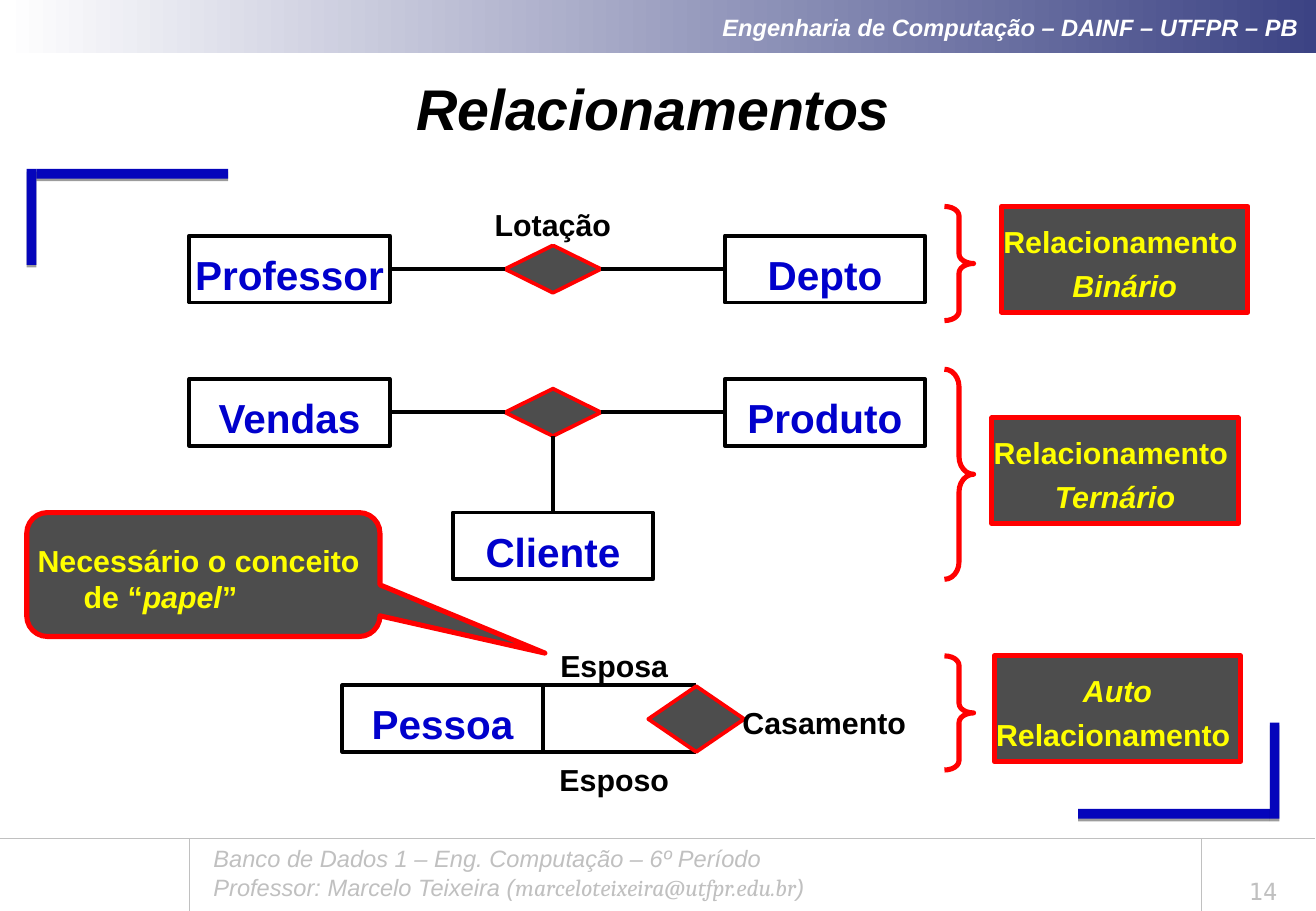
from lxml import etree
from pptx import Presentation
from pptx.dml.color import RGBColor
from pptx.enum.shapes import MSO_CONNECTOR, MSO_SHAPE
from pptx.enum.text import MSO_ANCHOR, PP_ALIGN
from pptx.oxml import parse_xml
from pptx.oxml.ns import qn
from pptx.util import Inches, Pt

RECT, DIAMOND, BRACE = MSO_SHAPE.RECTANGLE, MSO_SHAPE.DIAMOND, MSO_SHAPE.RIGHT_BRACE
CALLOUT = MSO_SHAPE.ROUNDED_RECTANGULAR_CALLOUT
STRAIGHT = MSO_CONNECTOR.STRAIGHT
LEFT, CENTER, RIGHT = PP_ALIGN.LEFT, PP_ALIGN.CENTER, PP_ALIGN.RIGHT
TOP, MIDDLE, BOTTOM = MSO_ANCHOR.TOP, MSO_ANCHOR.MIDDLE, MSO_ANCHOR.BOTTOM
WHITE = RGBColor(0xFF, 0xFF, 0xFF)
BLACK = RGBColor(0x00, 0x00, 0x00)
NAVY = RGBColor(0x3C, 0x43, 0x84)
BAR_BLUE = RGBColor(0x05, 0x05, 0xBB)
ENTITY_BLUE = RGBColor(0x00, 0x00, 0xCC)
SILVER = RGBColor(0xC0, 0xC0, 0xC0)
CHARCOAL = RGBColor(0x4D, 0x4D, 0x4D)
RED = RGBColor(0xFF, 0x00, 0x00)
YELLOW = RGBColor(0xFF, 0xFF, 0x00)
BAR_SHADOW = (
    '<a:effectLst xmlns:a="http://schemas.openxmlformats.org/drawingml/2006/main">'
    '<a:outerShdw dist="20320" dir="5400000" rotWithShape="0">'
    '<a:srgbClr val="000000"><a:alpha val="38000"/></a:srgbClr>'
    '</a:outerShdw></a:effectLst>'
)

prs = Presentation()
prs.slide_width, prs.slide_height = Inches(10.84), Inches(7.5)
slide = prs.slides.add_slide(prs.slide_layouts[6])
shapes = slide.shapes


def draw(kind, at, fill=None, outline=None, weight=2.25):
    shape = shapes.add_shape(kind, *map(Inches, at))
    shape.shadow.inherit = False
    if fill is None:
        shape.fill.background()
    else:
        shape.fill.solid()
        shape.fill.fore_color.rgb = fill
    if outline is None:
        shape.line.fill.background()
    else:
        shape.line.color.rgb = outline
        shape.line.width = Pt(weight)
    return shape


def write(shape, paragraphs, size, color, align=CENTER, anchor=MIDDLE,
          bold=True, wrap=True, inset=None, drop=0, gap=0):
    frame = shape.text_frame
    frame.word_wrap = wrap
    frame.vertical_anchor = anchor
    if inset is not None:
        frame.margin_left = frame.margin_right = frame.margin_bottom = Inches(inset)
        frame.margin_top = Inches(inset + drop)
    for index, runs in enumerate(paragraphs):
        paragraph = frame.add_paragraph() if index else frame.paragraphs[0]
        paragraph.alignment = align
        if index and gap:
            paragraph.space_before = Pt(gap)
        for text, italic, typeface in runs:
            run = paragraph.add_run()
            run.text = text
            run.font.name = typeface
            run.font.size = Pt(size)
            run.font.bold = bold
            run.font.italic = italic
            run.font.color.rgb = color


header = draw(RECT, (0.02, 0, 10.83, 0.44), WHITE)
header.fill.gradient()
header.fill.gradient_angle = 0
for stop, position, color in zip(header.fill.gradient_stops, (0, 1), (WHITE, NAVY)):
    stop.position = position
    stop.color.rgb = color
write(header, [[("Engenharia de Computação – DAINF – UTFPR – PB ", True, "Arial")]],
      14, WHITE, RIGHT)

for bar_at in ((8.88, 6.66, 1.58, 0.08), (10.46, 5.95, 0.08, 0.79),
               (0.3, 1.39, 1.58, 0.08), (0.22, 1.39, 0.08, 0.79)):
    properties = draw(RECT, bar_at, BAR_BLUE)._element.spPr
    properties.replace(properties.find(qn("a:effectLst")), parse_xml(BAR_SHADOW))

footer = [
    [("Banco de Dados 1 – Eng. Computação – 6º Período", True, "Arial")],
    [("Professor: Marcelo Teixeira (", True, "Arial"),
     ("marceloteixeira@utfpr.edu.br", True, "Cambria"), (")", True, "Arial")],
]
page_number = [[("14", False, "DejaVu Sans Mono")]]
title = [[("Relacionamentos", True, "Arial")]]
for at, paragraphs, size, color, align, anchor, bold in (
    ((1.66, 6.9, 7.54, 0.57), footer, 14, SILVER, LEFT, TOP, False),
    ((9.97, 7.11, 0.87, 0.39), page_number, 14, SILVER, CENTER, BOTTOM, False),
    ((0.22, 0.54, 10.32, 0.69), title, 34, BLACK, CENTER, MIDDLE, True),
):
    write(shapes.add_textbox(*map(Inches, at)), paragraphs, size, color, align, anchor, bold)

entities = {}
for name, left, top in (("Professor", 1.56, 1.94), ("Depto", 5.97, 1.94),
                        ("Vendas", 1.56, 3.12), ("Produto", 5.97, 3.12),
                        ("Cliente", 3.73, 4.22), ("Pessoa", 2.82, 5.64)):
    entities[name] = draw(RECT, (left, top, 1.65, 0.55), WHITE, BLACK)
    write(entities[name], [[(name, False, "Arial")]], 24, ENTITY_BLUE,
          wrap=False, inset=0.04, drop=0.08)

binary = draw(DIAMOND, (4.16, 2.02, 0.79, 0.39), CHARCOAL, RED)
ternary = draw(DIAMOND, (4.16, 3.2, 0.79, 0.39), CHARCOAL, RED)

for start, end, color, weight in (
    ((1.56, 6.9), (1.56, 7.5), SILVER, 0.75),
    ((9.9, 6.9), (9.9, 7.5), SILVER, 0.75),
    ((0, 6.9), (10.83, 6.9), SILVER, 0.25),
    ((4.47, 5.64), (5.73, 5.64), BLACK, 2.25),
    ((4.47, 6.19), (5.73, 6.19), BLACK, 2.25),
    ((entities["Professor"], 3), (binary, 1), BLACK, 2.25),
    ((binary, 3), (entities["Depto"], 1), BLACK, 2.25),
    ((entities["Vendas"], 3), (ternary, 1), BLACK, 2.25),
    ((ternary, 3), (entities["Produto"], 1), BLACK, 2.25),
    ((ternary, 2), (entities["Cliente"], 0), BLACK, 2.25),
):
    joined = start[0] in (binary, ternary, *entities.values())
    ends = (0, 0, 0, 0) if joined else (*start, *end)
    link = shapes.add_connector(STRAIGHT, *map(Inches, ends))
    if joined:
        link.begin_connect(*start)
        link.end_connect(*end)
    link.line.color.rgb = color
    link.line.width = Pt(weight)
    etree.SubElement(link._element.spPr, qn("a:effectLst"))

draw(DIAMOND, (5.34, 5.65, 0.79, 0.54), CHARCOAL, RED)

for label, at, fill in (("Lotação", (4.16, 1.62, 0.79, 0.39), WHITE),
                        ("Casamento", (6.2, 5.72, 1.18, 0.39), WHITE),
                        ("Esposa", (4.47, 5.25, 1.18, 0.39), None),
                        ("Esposo", (4.47, 6.19, 1.18, 0.39), None)):
    write(draw(DIAMOND, at, fill), [[(label, False, "Arial")]], 18, BLACK,
          wrap=False, inset=0.04, drop=0.06)

for top, height in ((1.7, 0.94), (3.04, 1.73), (5.4, 0.94)):
    brace = draw(BRACE, (7.78, top, 0.24, height), None, RED, 3)
    brace.adjustments[0] = height / 12 / 0.24

for left, top, lines in (
    (8.25, 1.7, (("Relacionamento ", False), ("Binário", True))),
    (8.17, 3.44, (("Relacionamento ", False), ("Ternário", True))),
    (8.19, 5.4, (("Auto", True), ("Relacionamento ", False))),
):
    write(draw(RECT, (left, top, 2.03, 0.87), CHARCOAL, RED, 3),
          [[(text, italic, "Arial")] for text, italic in lines], 18, YELLOW,
          wrap=False, inset=0.04, drop=0.06, gap=4.5)

role_note = draw(CALLOUT, (0.22, 4.22, 2.91, 1.02), CHARCOAL, RED, 3)
for index, value in enumerate((0.967, 0.634, 0.167)):
    role_note.adjustments[index] = value
hanging = role_note.text_frame.paragraphs[0]._p.get_or_add_pPr()
hanging.set("marL", str(Inches(0.38)))
hanging.set("indent", str(Inches(-0.38)))
write(role_note, [[("Necessário o conceito de “", False, "Arial"),
                   ("papel", True, "Arial"), ("”", False, "Arial")]],
      18, YELLOW, LEFT, inset=0.04, drop=0.06)

prs.save("out.pptx")
